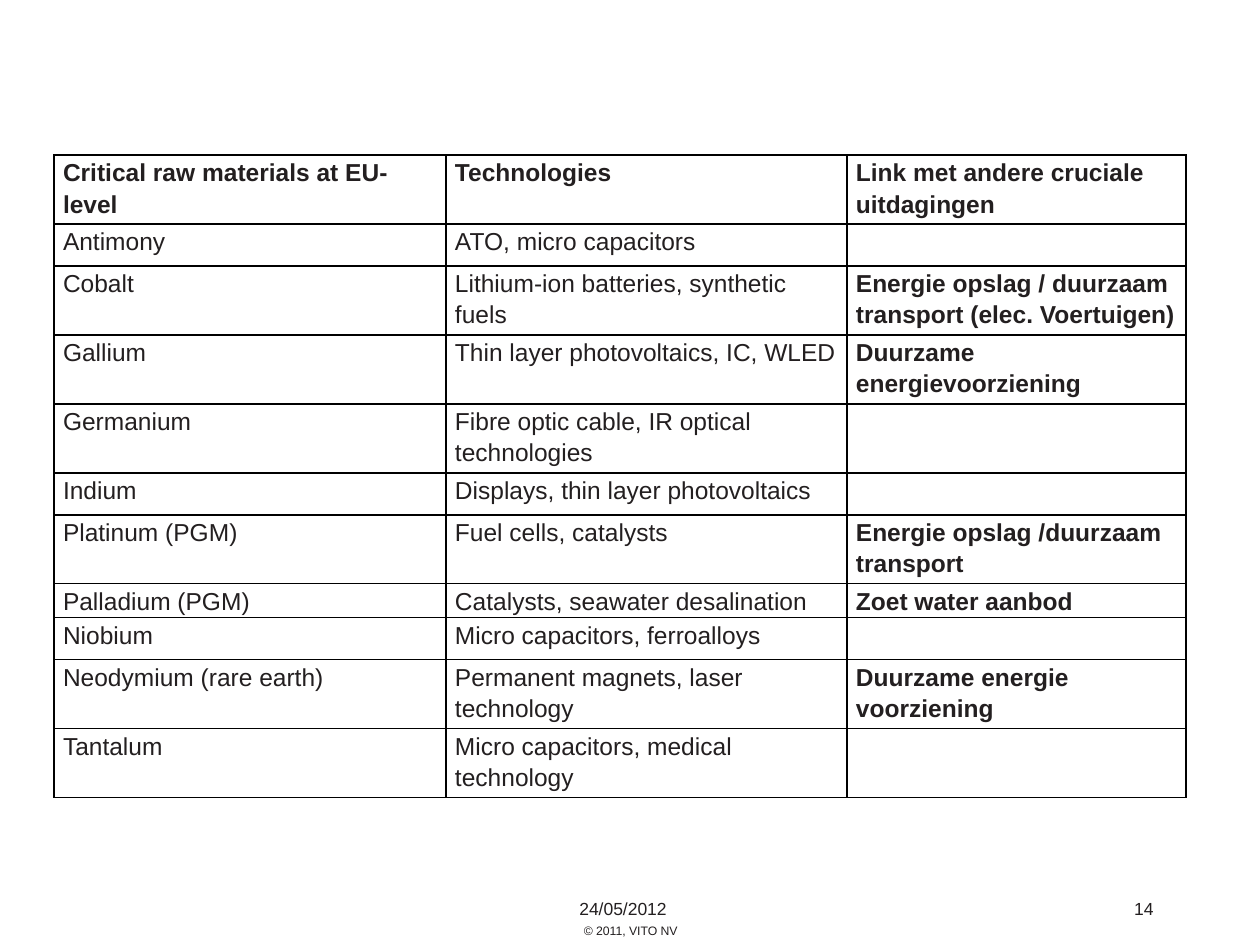
"""Build a slide tabulating critical raw materials, their technologies and related challenges."""
from typing import NamedTuple

from lxml import etree
from pptx import Presentation
from pptx.dml.color import RGBColor
from pptx.enum.text import MSO_AUTO_SIZE, PP_ALIGN
from pptx.oxml.ns import qn
from pptx.util import Emu, Pt

LEFT, RIGHT = PP_ALIGN.LEFT, PP_ALIGN.RIGHT
FIT_SHAPE, NO_FIT = MSO_AUTO_SIZE.SHAPE_TO_FIT_TEXT, MSO_AUTO_SIZE.NONE
INK = RGBColor(0x23, 0x1F, 0x20)
BORDER = RGBColor(0x00, 0x00, 0x00)
FONT = "Arial"
PX_PER_INCH = 126
TABLE_LEFT, TABLE_TOP = 54, 155
COLUMN_WIDTHS = (392, 401, 339)
TALL, SHORT, TIGHT = 69, 42, 34
CELL_INSET = 9


class Material(NamedTuple):
    height: int
    name: str
    technologies: str
    challenge: str = ""


class Footer(NamedTuple):
    text: str
    left: int
    top: int
    width: int
    height: int
    size: int
    alignment: PP_ALIGN = LEFT
    wrap: bool = True


MATERIALS = (
    Material(TALL, "Critical raw materials at EU-level", "Technologies",
             "Link met andere cruciale uitdagingen"),
    Material(SHORT, "Antimony", "ATO, micro capacitors"),
    Material(TALL, "Cobalt", "Lithium-ion batteries, synthetic fuels",
             "Energie opslag / duurzaam transport (elec. Voertuigen)"),
    Material(TALL, "Gallium", "Thin layer photovoltaics, IC, WLED",
             "Duurzame energievoorziening"),
    Material(TALL, "Germanium", "Fibre optic cable, IR optical technologies"),
    Material(SHORT, "Indium", "Displays, thin layer photovoltaics"),
    Material(TALL, "Platinum (PGM)", "Fuel cells, catalysts",
             "Energie opslag /duurzaam transport"),
    Material(TIGHT, "Palladium (PGM)", "Catalysts, seawater desalination",
             "Zoet water aanbod"),
    Material(SHORT, "Niobium", "Micro capacitors, ferroalloys"),
    Material(TALL, "Neodymium (rare earth)", "Permanent magnets, laser technology",
             "Duurzame energie voorziening"),
    Material(TALL, "Tantalum", "Micro capacitors, medical technology"),
)

FOOTERS = (
    Footer("24/05/2012", 567, 892, 126, 32, 10),
    Footer("14", 1050, 892, 116, 32, 10, RIGHT),
    Footer("© 2011, VITO NV", 568, 917, 122, 28, 7, RIGHT, False),
)


def px(length: int) -> Emu:
    """Turn a length in px into EMU."""
    return Emu(round(length * 914400 / PX_PER_INCH))


def add_run(paragraph, text: str, size: int, bold: bool = False) -> None:
    """Add one styled run to a paragraph."""
    run = paragraph.add_run()
    run.text = text
    run.font.name = FONT
    run.font.size = Pt(size)
    run.font.bold = bold
    run.font.color.rgb = INK


def add_borders(cell) -> None:
    """Draw a thin line on every side of a cell."""
    properties = cell._tc.get_or_add_tcPr()
    for side in ("a:lnL", "a:lnR", "a:lnT", "a:lnB"):
        line = etree.SubElement(properties, qn(side), w=str(Pt(1)))
        fill = etree.SubElement(line, qn("a:solidFill"))
        etree.SubElement(fill, qn("a:srgbClr"), val=str(BORDER))


def fill_cell(cell, text: str, bold: bool) -> None:
    """Set the borders, insets and text of a cell."""
    add_borders(cell)
    cell.fill.background()
    cell.margin_left = cell.margin_right = px(CELL_INSET)
    cell.margin_top = cell.margin_bottom = 0
    if text:
        paragraph = cell.text_frame.paragraphs[0]
        paragraph.line_spacing = 1.15
        add_run(paragraph, text, 14, bold)


def add_material_table(slide, materials: tuple[Material, ...]) -> None:
    """Add the table with a bold header row and a bold last column."""
    height = sum(material.height for material in materials)
    table = slide.shapes.add_table(
        len(materials), len(COLUMN_WIDTHS), px(TABLE_LEFT), px(TABLE_TOP),
        px(sum(COLUMN_WIDTHS)), px(height)).table
    table.first_row = table.horz_banding = False
    for column, width in zip(table.columns, COLUMN_WIDTHS):
        column.width = px(width)
    for row_index, (row, material) in enumerate(zip(table.rows, materials)):
        row.height = px(material.height)
        texts = (material.name, material.technologies, material.challenge)
        for column_index, (cell, text) in enumerate(zip(row.cells, texts)):
            fill_cell(cell, text, row_index == 0 or column_index == 2)


def add_footer(slide, footer: Footer) -> None:
    """Add one footer text box."""
    shape = slide.shapes.add_textbox(
        px(footer.left), px(footer.top), px(footer.width), px(footer.height))
    frame = shape.text_frame
    frame.word_wrap = footer.wrap
    frame.auto_size = NO_FIT if footer.wrap else FIT_SHAPE
    paragraph = frame.paragraphs[0]
    paragraph.alignment = footer.alignment
    add_run(paragraph, footer.text, footer.size)


def main() -> None:
    """Build and save the presentation."""
    presentation = Presentation()
    presentation.slide_width, presentation.slide_height = px(1260), px(945)
    slide = presentation.slides.add_slide(presentation.slide_layouts[6])
    for footer in FOOTERS:
        add_footer(slide, footer)
    add_material_table(slide, MATERIALS)
    presentation.save("out.pptx")


if __name__ == "__main__":
    main()
